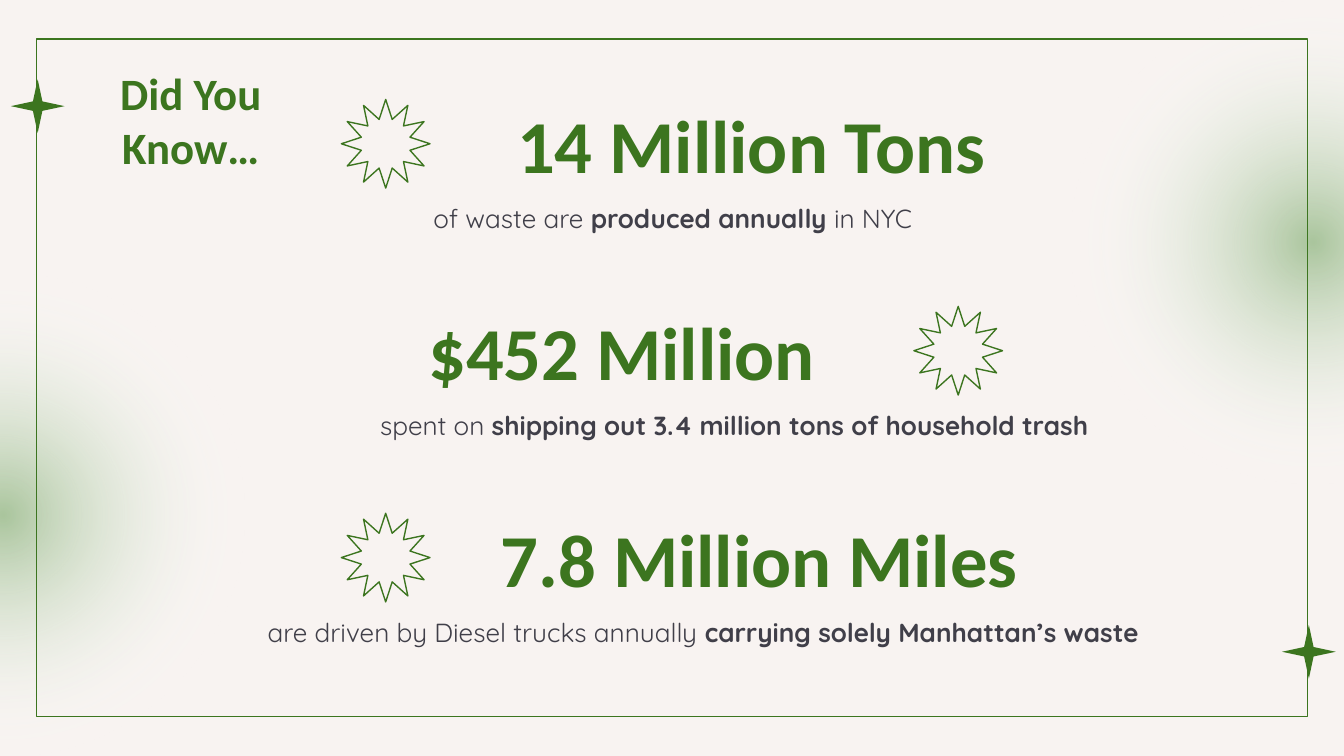
from pptx import Presentation
from pptx.dml.color import RGBColor
from pptx.enum.shapes import MSO_SHAPE
from pptx.enum.text import MSO_ANCHOR, MSO_AUTO_SIZE, PP_ALIGN
from pptx.oxml import parse_xml
from pptx.oxml.ns import nsdecls
from pptx.util import Pt

OVAL, RECT = MSO_SHAPE.OVAL, MSO_SHAPE.RECTANGLE
STAR_4, STAR_12 = MSO_SHAPE.STAR_4_POINT, MSO_SHAPE.STAR_12_POINT
TOP, MIDDLE = MSO_ANCHOR.TOP, MSO_ANCHOR.MIDDLE
CENTER = PP_ALIGN.CENTER
NO_AUTOFIT = MSO_AUTO_SIZE.NONE

GREEN, INK, PAPER, GLOW = "3C751F", "403F49", "F8F3F1", "AAC59D"
HEADING_FONT, BODY_FONT = "Calibri", "Quicksand"

FIRST_ROW, ROW_PITCH, ROW_HEIGHT = 53.3, 110.85, 47.5
CAPTION_DROP, CAPTION_HEIGHT = 47.8, 28.8

# Per row: star x, number (x, width, text), caption (x, width, runs with bold flag)
FACTS = [
    (182.9, (230.4, 344.2, "14 Million Tons"),
     (189.4, 342, [("of waste are ", False), ("produced annually", True), (" in NYC", False)])),
    (489.6, (176.4, 313.2, "$452 Million"),
     (189.4, 408.2, [("spent on ", False),
                     ("shipping out 3.4 million tons of household trash", True)])),
    (182.9, (230.4, 352.8, "7.8 Million Miles"),
     (133.2, 487.4, [("are driven by Diesel trucks annually ", False),
                     ("carrying solely Manhattan’s waste", True)])),
]


def color(hex_code):
    return RGBColor.from_string(hex_code)


def add_shape(s, kind, x, y, w, h, fill=None, line=None, adj=None):
    sp = s.shapes.add_shape(kind, Pt(x), Pt(y), Pt(w), Pt(h))
    sp.shadow.inherit = False
    if adj is not None:
        sp.adjustments[0] = adj
    if fill:
        sp.fill.solid()
        sp.fill.fore_color.rgb = color(fill)
    else:
        sp.fill.background()
    if line:
        sp.line.color.rgb = color(line)
        sp.line.width = Pt(0.75)
    else:
        sp.line.fill.background()
    return sp


def add_glow(s, x, y, size):
    """Circle whose radial gradient fades to transparent at its edge."""
    sp = add_shape(s, OVAL, x, y, size, size)
    gradient = parse_xml(
        f'<a:gradFill {nsdecls("a")} rotWithShape="1"><a:gsLst>'
        f'<a:gs pos="0"><a:srgbClr val="{GLOW}"/></a:gs>'
        '<a:gs pos="71000"><a:srgbClr val="FFFFFF"><a:alpha val="0"/></a:srgbClr></a:gs>'
        f'<a:gs pos="100000"><a:srgbClr val="{PAPER}"/></a:gs></a:gsLst>'
        '<a:path path="circle"><a:fillToRect l="50000" t="50000" r="50000" b="50000"/></a:path>'
        '</a:gradFill>')
    no_fill = sp.fill._xPr.find("{*}noFill")
    no_fill.getparent().replace(no_fill, gradient)


def write_text(sp, box, runs, font, size, hex_code, anchor):
    sp.left, sp.top, sp.width, sp.height = [Pt(v) for v in box]
    tf = sp.text_frame
    tf.word_wrap = True
    tf.auto_size = NO_AUTOFIT
    tf.vertical_anchor = anchor
    tf.margin_left = tf.margin_right = tf.margin_top = tf.margin_bottom = Pt(7.2)
    p = tf.paragraphs[0]
    p.alignment = CENTER
    for text, bold in runs:
        r = p.add_run()
        r.text = text
        r.font.name = font
        r.font.size = Pt(size)
        r.font.bold = bold
        r.font.color.rgb = color(hex_code)


def add_text(s, box, *style):
    sp = s.shapes.add_textbox(*[Pt(v) for v in box])
    write_text(sp, box, *style)


def add_fact(s, y, star_x, number, caption):
    x, w, text = number
    add_text(s, (x, y, w, ROW_HEIGHT), [(text, True)], HEADING_FONT, 40, GREEN, MIDDLE)
    x, w, runs = caption
    add_text(s, (x, y + CAPTION_DROP, w, CAPTION_HEIGHT), runs, BODY_FONT, 14, INK, TOP)
    add_shape(s, STAR_12, star_x, y, ROW_HEIGHT, ROW_HEIGHT, line=GREEN, adj=0.284)


def main():
    prs = Presentation()
    prs.slide_width, prs.slide_height = Pt(720), Pt(405)
    s = prs.slides.add_slide(prs.slide_layouts[5])

    # Background, glows and frame
    s.background.fill.solid()
    s.background.fill.fore_color.rgb = color(PAPER)
    for x, y in [(-128.2, 146.2), (573.8, 0)]:
        add_glow(s, x, y, 259.2)
    add_shape(s, RECT, 19.5, 21, 681, 363, line=GREEN)
    for x, y in [(686.8, 334.8), (5.8, 42.5)]:
        add_shape(s, STAR_4, x, y, 28.8, 28.8, fill=GREEN, adj=0.125)

    # Title
    write_text(s.shapes.title, (43.9, 42.5, 116.6, 43.2), [("Did You Know…", True)],
               HEADING_FONT, 24, GREEN, MIDDLE)

    # Facts
    for i, fact in enumerate(FACTS):
        add_fact(s, FIRST_ROW + i * ROW_PITCH, *fact)

    prs.save("out.pptx")


if __name__ == "__main__":
    main()
